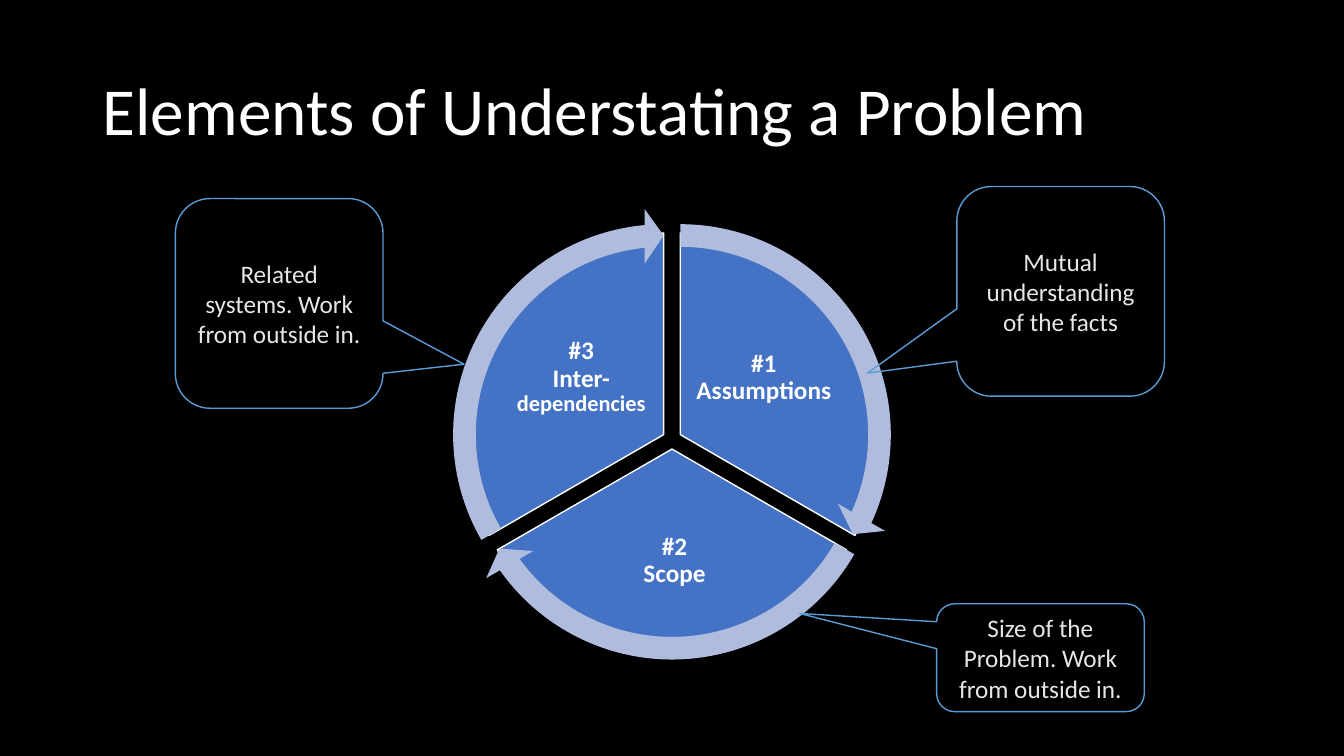
from dataclasses import dataclass
import math

from pptx import Presentation
from pptx import util as u
from pptx.dml.color import RGBColor
from pptx.enum import shapes, text

SLIDE_WIDTH, SLIDE_HEIGHT = u.Inches(13.33), u.Inches(7.5)


@dataclass(frozen=True)
class Theme:
    font: str = "Calibri"
    background: str = "000000"
    white: str = "FFFFFF"
    sector: str = "4472C4"
    arrow: str = "B0BCDE"
    callout_line: str = "5B9BD5"
    callout_text: str = "E7E6E6"
    title_size: int = 48
    body_size: int = 18
    small_size: int = 16


THEME = Theme()

# Wheel: centre and sizes in percent of the slide, angles in degrees
CENTRE_X, CENTRE_Y = 50, 58.13
SECTOR_SIZE, ARROW_SIZE, SECTOR_SHIFT = 53.33, 59.87, 1.27
SWEEP, HEAD_ANGLE = 120, 5.46
ARROW_THICKNESS, ARROW_HEAD = 0.05, 0.06

# Label runs with their sizes, then centre, width and height in percent
LABELS = [
    ([("#1 Assumptions", THEME.body_size)], (56.83, 49.93, 10.73, 15.87)),
    ([("#2\vScope", THEME.body_size)], (50.19, 74.2, 16.05, 14)),
    ([("#3\vInter-", THEME.body_size), ("dependencies", THEME.small_size)],
     (43.25, 49.93, 10.73, 15.87)),
]

# Callout text, left, top, width and height in percent, tail offset
CALLOUTS = [
    ("Mutual understanding of the facts", (71.19, 24.67, 15.45, 27.73), (-0.93, 0.39)),
    ("Size of the Problem. Work from outside in.", (69.69, 79.87, 15.45, 14.27), (-1.16, -0.41)),
    ("Related systems. Work from outside in.", (13.05, 26.27, 15.45, 27.73), (0.89, 0.29)),
]


def across(percent):
    return round(SLIDE_WIDTH * percent / 100)


def down(percent):
    return round(SLIDE_HEIGHT * percent / 100)


def box(left, top, width, height):
    return across(left), down(top), across(width), down(height)


def angle(degrees):
    """Adjustment value for an angle in degrees."""
    return degrees % 360 * 0.6


def color(value):
    return RGBColor.from_string(value)


def format_run(run, size, value, bold=False):
    run.font.name = THEME.font
    run.font.size = u.Pt(size)
    run.font.bold = bold
    run.font.color.rgb = color(value)


def add_title(slide, title):
    shape = slide.shapes.title
    shape.left, shape.top, shape.width, shape.height = box(6.9, 5.33, 86.25, 19.33)
    frame = shape.text_frame
    frame.text = title
    frame.auto_size = text.MSO_AUTO_SIZE.NONE
    frame.vertical_anchor = text.MSO_ANCHOR.MIDDLE
    paragraph = frame.paragraphs[0]
    paragraph.alignment = text.PP_ALIGN.LEFT
    paragraph.line_spacing = 0.9
    format_run(paragraph.runs[0], THEME.title_size, THEME.white)


def add_wheel_shape(group, kind, size, start, fill):
    """Place a round shape pushed outwards along the middle of its sector."""
    middle = math.radians(start + SWEEP / 2)
    diameter, shift = down(size), down(SECTOR_SHIFT)
    left = across(CENTRE_X) + shift * math.cos(middle) - diameter / 2
    top = down(CENTRE_Y) + shift * math.sin(middle) - diameter / 2
    shape = group.shapes.add_shape(kind, round(left), round(top), diameter, diameter)
    shape.shadow.inherit = False
    shape.fill.solid()
    shape.fill.fore_color.rgb = color(fill)
    return shape


def add_sector(group, start):
    shape = add_wheel_shape(group, shapes.MSO_SHAPE.PIE, SECTOR_SIZE, start, THEME.sector)
    shape.adjustments[0] = angle(start)
    shape.adjustments[1] = angle(start + SWEEP)
    shape.line.color.rgb = color(THEME.white)
    shape.line.width = u.Pt(1)


def add_arrow(group, start):
    shape = add_wheel_shape(group, shapes.MSO_SHAPE.CIRCULAR_ARROW, ARROW_SIZE, start, THEME.arrow)
    values = (ARROW_THICKNESS, angle(HEAD_ANGLE), angle(start + SWEEP - HEAD_ANGLE),
              angle(start), ARROW_HEAD)
    for index, value in enumerate(values):
        shape.adjustments[index] = value
    shape.line.fill.background()


def add_label(group, pieces, place):
    centre_x, centre_y, width, height = place
    shape = group.shapes.add_textbox(
        *box(centre_x - width / 2, centre_y - height / 2, width, height))
    frame = shape.text_frame
    frame.word_wrap = True
    frame.vertical_anchor = text.MSO_ANCHOR.MIDDLE
    frame.margin_left = frame.margin_right = u.Inches(0.03)
    frame.margin_top = frame.margin_bottom = u.Inches(0.03)
    paragraph = frame.paragraphs[0]
    paragraph.text = pieces[0][0]
    paragraph.alignment = text.PP_ALIGN.CENTER
    paragraph.line_spacing = 0.9
    for run in paragraph.runs:
        format_run(run, pieces[0][1], THEME.white, bold=True)
    for words, size in pieces[1:]:
        run = paragraph.add_run()
        run.text = words
        format_run(run, size, THEME.white, bold=True)


def add_callout(slide, words, place, tail):
    shape = slide.shapes.add_shape(shapes.MSO_SHAPE.ROUNDED_RECTANGULAR_CALLOUT, *box(*place))
    shape.adjustments[0], shape.adjustments[1] = tail
    shape.shadow.inherit = False
    shape.fill.background()
    shape.line.color.rgb = color(THEME.callout_line)
    shape.line.width = u.Pt(1)
    frame = shape.text_frame
    frame.text = words
    frame.word_wrap = True
    frame.vertical_anchor = text.MSO_ANCHOR.MIDDLE
    paragraph = frame.paragraphs[0]
    paragraph.alignment = text.PP_ALIGN.CENTER
    format_run(paragraph.runs[0], THEME.body_size, THEME.callout_text)


def main():
    presentation = Presentation()
    presentation.slide_width, presentation.slide_height = SLIDE_WIDTH, SLIDE_HEIGHT
    slide = presentation.slides.add_slide(presentation.slide_layouts.get_by_name("Title Only"))
    slide.background.fill.solid()
    slide.background.fill.fore_color.rgb = color(THEME.background)

    add_title(slide, "Elements of Understating a Problem")

    # Wheel of three sectors, clockwise from the top, with arrows in front
    wheel = slide.shapes.add_group_shape()
    starts = [270 + SWEEP * index for index in range(len(LABELS))]
    for start, (pieces, place) in zip(starts, LABELS):
        add_sector(wheel, start)
        add_label(wheel, pieces, place)
    for start in starts:
        add_arrow(wheel, start)

    # Explanations around the wheel
    for words, place, tail in CALLOUTS:
        add_callout(slide, words, place, tail)

    presentation.save("out.pptx")


if __name__ == "__main__":
    main()
